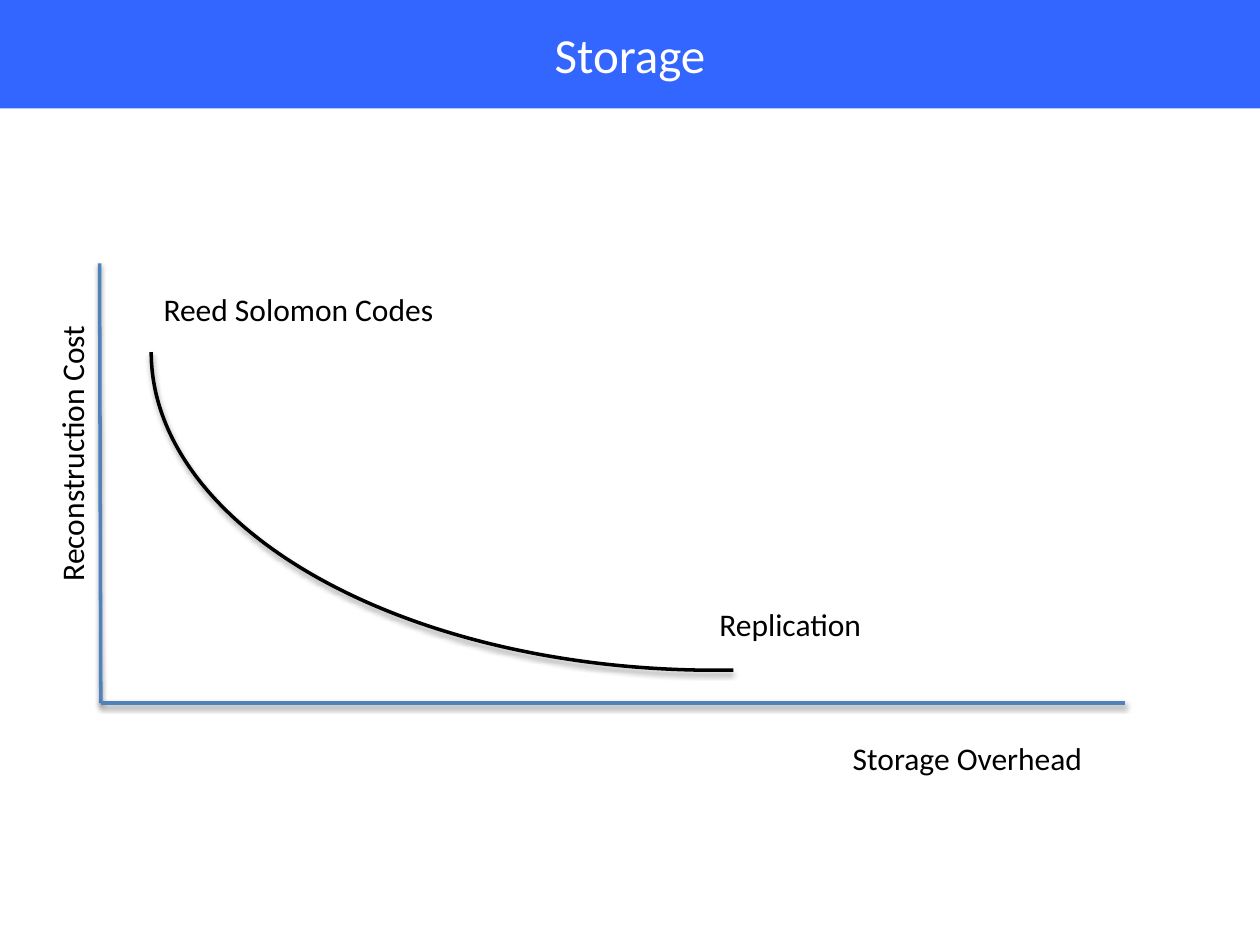
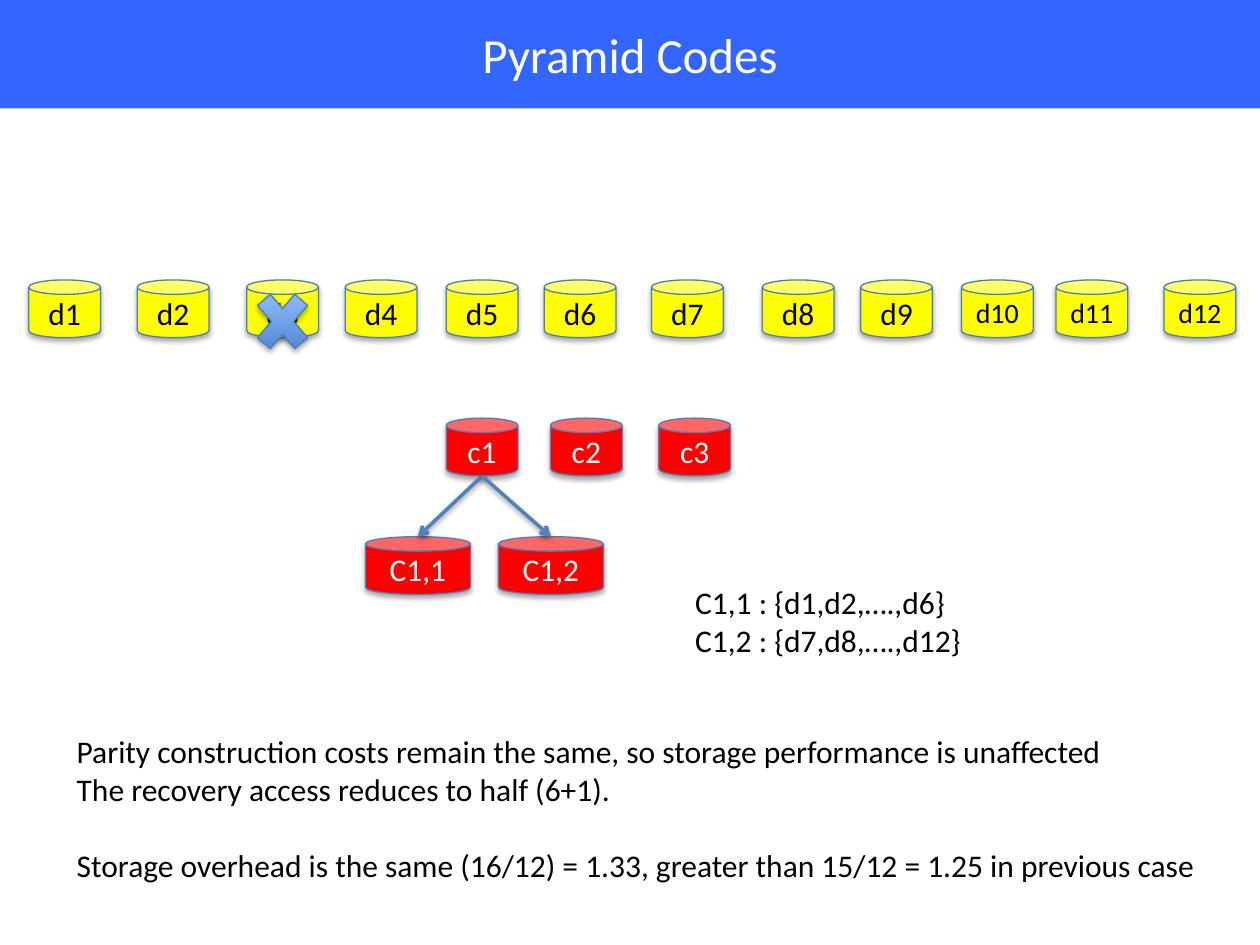
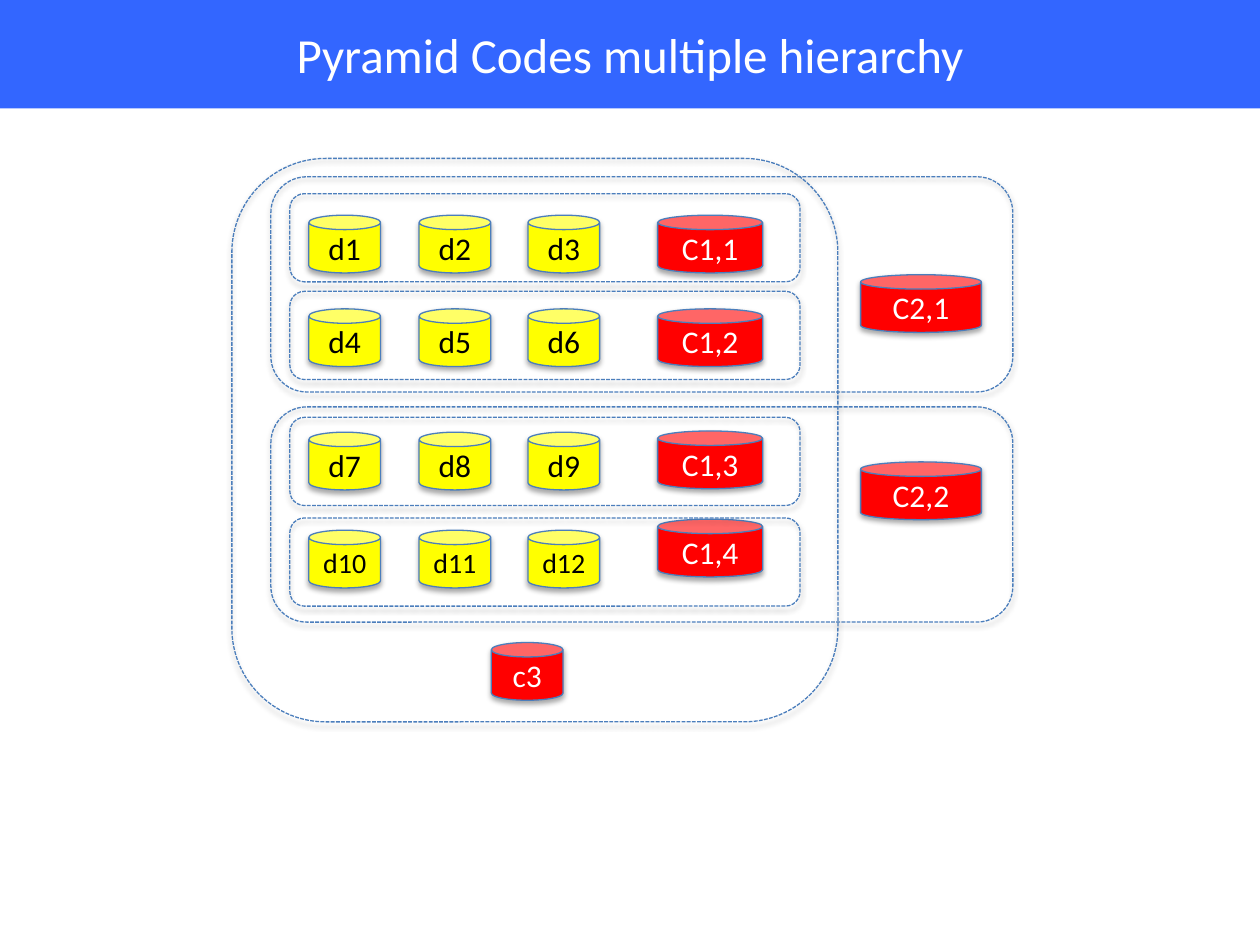
from dataclasses import dataclass
from itertools import product

from lxml import etree
from pptx import Presentation
from pptx.dml.color import RGBColor
from pptx.enum.dml import MSO_LINE
from pptx.enum.shapes import MSO_CONNECTOR, MSO_SHAPE
from pptx.enum.text import MSO_ANCHOR, MSO_AUTO_SIZE, PP_ALIGN
from pptx.oxml import parse_xml
from pptx.oxml.ns import nsdecls, qn
from pptx.util import Pt

CAN, ARC, CROSS = MSO_SHAPE.CAN, MSO_SHAPE.ARC, MSO_SHAPE.MATH_MULTIPLY
ROUNDED = MSO_SHAPE.ROUNDED_RECTANGLE
STRAIGHT = MSO_CONNECTOR.STRAIGHT
DASH = MSO_LINE.SQUARE_DOT
MIDDLE, CENTER, LEFT = MSO_ANCHOR.MIDDLE, PP_ALIGN.CENTER, PP_ALIGN.LEFT
FIT_SHAPE = MSO_AUTO_SIZE.SHAPE_TO_FIT_TEXT
TITLE_ONLY = 5

PAGE_WIDTH, PAGE_HEIGHT = 720, 540
BAND_HEIGHT = 62
CAN_WIDTH, CAN_HEIGHT = 41, 33
PARITY_WIDTH = 60


@dataclass(frozen=True)
class Theme:
    """Colours, font and sizes shared by all slides."""
    band: RGBColor = RGBColor(0x33, 0x66, 0xFF)
    light: RGBColor = RGBColor(0xFF, 0xFF, 0xFF)
    dark: RGBColor = RGBColor(0, 0, 0)
    data: RGBColor = RGBColor(0xFF, 0xFF, 0)
    parity: RGBColor = RGBColor(0xFF, 0, 0)
    outline: RGBColor = RGBColor(0x4B, 0x7E, 0xBC)
    axis: RGBColor = RGBColor(0x4F, 0x81, 0xBD)
    cross_low: RGBColor = RGBColor(0x3F, 0x80, 0xCE)
    cross_high: RGBColor = RGBColor(0xA4, 0xC4, 0xFF)
    font: str = "Calibri"
    title_size: int = 28
    text_size: int = 18
    small_size: int = 16
    thin: float = 0.75
    thick: float = 2


class SlideBuilder:
    """Holds the style and the current slide."""

    def __init__(self, deck, theme):
        """Keep the deck and its theme."""
        self.deck, self.theme, self.page = deck, theme, None

    def format_text(self, frame, lines, size, color, align):
        """Write one paragraph per line in a single style."""
        frame.text = "\n".join(lines)
        for para in frame.paragraphs:
            para.alignment = align
            para.font.name = self.theme.font
            para.font.size = Pt(size)
            para.font.color.rgb = color

    def start(self, title):
        """Add a slide with its title band."""
        self.page = self.deck.slides.add_slide(self.deck.slide_layouts[TITLE_ONLY])
        band = self.page.shapes.title
        band.left, band.top = Pt(0), Pt(0)
        band.width, band.height = Pt(PAGE_WIDTH), Pt(BAND_HEIGHT)
        band.fill.solid()
        band.fill.fore_color.rgb = self.theme.band
        band.text_frame.vertical_anchor = MIDDLE
        self.format_text(band.text_frame, [title], self.theme.title_size,
                         self.theme.light, CENTER)

    def cast_shadow(self, shape, distance, alpha):
        """Give a shape or connector a soft shadow straight below."""
        properties = shape._element.spPr
        for effects in properties.findall(qn("a:effectLst")):
            properties.remove(effects)
        effects = parse_xml(
            f'<a:effectLst {nsdecls("a")}><a:outerShdw blurRad="{Pt(3.1)}" '
            f'dist="{Pt(distance)}" dir="5400000" rotWithShape="0">'
            f'<a:srgbClr val="000000"><a:alpha val="{alpha * 1000}"/></a:srgbClr>'
            '</a:outerShdw></a:effectLst>')
        properties.append(effects)

    def shape(self, kind, left, top, width, height):
        """Add an unfilled preset shape with a thin outline and a shadow."""
        shape = self.page.shapes.add_shape(kind, Pt(left), Pt(top), Pt(width), Pt(height))
        shape.fill.background()
        shape.line.color.rgb = self.theme.outline
        shape.line.width = Pt(self.theme.thin)
        self.cast_shadow(shape, 1.8, 35)
        return shape

    def can(self, label, left, top, width=CAN_WIDTH):
        """Add a storage node: yellow for data, red for parity."""
        is_data = label.startswith("d")
        can = self.shape(CAN, left, top, width, CAN_HEIGHT)
        can.fill.solid()
        can.fill.fore_color.rgb = self.theme.data if is_data else self.theme.parity
        can.text_frame.vertical_anchor = MIDDLE
        size = self.theme.small_size if is_data and len(label) > 2 else self.theme.text_size
        self.format_text(can.text_frame, [label], size,
                         self.theme.dark if is_data else self.theme.light, CENTER)

    def frame(self, left, top, width, height):
        """Add a dashed rounded outline around a group."""
        self.shape(ROUNDED, left, top, width, height).line.dash_style = DASH

    def cross(self, left, top, width, height):
        """Mark a failed node with a gradient cross."""
        cross = self.shape(CROSS, left, top, width, height)
        cross.fill.gradient()
        cross.fill.gradient_angle = 90
        colors = self.theme.cross_low, self.theme.cross_high
        for stop, color in zip(cross.fill.gradient_stops, colors):
            stop.color.rgb = color

    def curve(self, left, top, width, height, start):
        """Add a black arc turned by half a circle."""
        arc = self.shape(ARC, left, top, width, height)
        arc.rotation = 180
        arc.adjustments[0], arc.adjustments[1] = start, 0
        arc.line.color.rgb = self.theme.dark
        arc.line.width = Pt(self.theme.thick)
        self.cast_shadow(arc, 1.6, 38)

    def line(self, start, end, arrow=False):
        """Add a straight line, with an arrowhead at its end if asked."""
        line = self.page.shapes.add_connector(STRAIGHT, *map(Pt, start + end))
        line.line.color.rgb = self.theme.axis
        line.line.width = Pt(self.theme.thick)
        if arrow:
            etree.SubElement(line.line._get_or_add_ln(), qn("a:tailEnd"), type="arrow")
        self.cast_shadow(line, 1.6, 38)

    def text(self, lines, left, top, width, height=29, rotation=0):
        """Add an unwrapped text box and return its paragraphs."""
        box = self.page.shapes.add_textbox(Pt(left), Pt(top), Pt(width), Pt(height))
        box.rotation = rotation
        box.text_frame.word_wrap = False
        box.text_frame.auto_size = FIT_SHAPE
        self.format_text(box.text_frame, lines, self.theme.text_size,
                         self.theme.dark, LEFT)
        return box.text_frame.paragraphs


def build_storage(builder):
    """Trade-off curve between overhead and reconstruction cost."""
    builder.start("Storage")
    corner = (57.6, 401.8)
    builder.line((56.9, 150.5), corner)
    builder.line(corner, (643, 401.8))
    builder.text(["Reconstruction Cost"], -40.3, 243.4, 162.7, rotation=270)
    builder.text(["Storage Overhead"], 480.2, 418.5, 147.6)
    builder.curve(86.4, 19.4, 645.1, 363.6, 160.1)
    builder.text(["Replication"], 404, 342, 97.2)
    builder.text(["Reed Solomon Codes"], 86.4, 162, 170.6)


def build_pyramid(builder):
    """Twelve data nodes with one parity split in two."""
    builder.start("Pyramid Codes")
    data_top, parity_top, split_top = 160, 239, 306.7
    data_lefts = (16.5, 78.5, 141, 197.3, 255, 311, 372.3, 435.6, 491.8, 549.4, 603.4, 665.2)
    for number, left in enumerate(data_lefts, 1):
        builder.can(f"d{number}", left, data_top)
    parity_lefts = (255, 314.6, 376.5)
    for number, left in enumerate(parity_lefts, 1):
        builder.can(f"c{number}", left, parity_top)
    builder.cross(data_lefts[2], data_top, CAN_WIDTH, 47.5)

    source = (parity_lefts[0] + CAN_WIDTH / 2, parity_top + CAN_HEIGHT)
    for number, left in enumerate((208.8, 284.8), 1):
        builder.can(f"C1,{number}", left, split_top, PARITY_WIDTH)
        builder.line(source, (left + PARITY_WIDTH / 2, split_top), arrow=True)

    builder.text(["C1,1 : {d1,d2,….,d6}", "C1,2 : {d7,d8,….,d12}"], 390.2, 329.8, 167.8, 51)
    notes = builder.text([
        "Parity construction costs remain the same, so storage performance is unaffected",
        "The recovery access reduces to half (6+1).",
        "Storage overhead is the same (16/12) = 1.33, greater than 15/12 = 1.25 in previous case",
    ], 36.7, 414.7, 661.7, 94.3)
    notes[-1].space_before = Pt(22)


def build_hierarchy(builder):
    """Nested groups, each with its own parity node."""
    builder.start("Pyramid Codes multiple hierarchy")
    data_tops, data_lefts = (123, 176.5, 247, 303), (176.5, 239.5, 301.7)
    for number, (top, left) in enumerate(product(data_tops, data_lefts), 1):
        builder.can(f"d{number}", left, top)
    for number, top in enumerate((123, 176.5, 246.3, 296.7), 1):
        builder.can(f"C1,{number}", 375.8, top, PARITY_WIDTH)
    for number, top in enumerate((157, 264), 1):
        builder.can(f"C2,{number}", 491.8, top, 69)
    builder.can("c3", 280.8, 367.2)

    for top in (110.7, 166.5, 238.5, 296):
        builder.frame(165.6, top, 291.6, 50.4)
    for top in (101, 232.5):
        builder.frame(154.8, top, 424, 123)
    builder.frame(132.5, 90.5, 346.3, 322)


def main():
    """Build and save the deck."""
    deck = Presentation()
    deck.slide_width, deck.slide_height = Pt(PAGE_WIDTH), Pt(PAGE_HEIGHT)
    builder = SlideBuilder(deck, Theme())
    for build in (build_storage, build_pyramid, build_hierarchy):
        build(builder)
    deck.save("out.pptx")


main()
